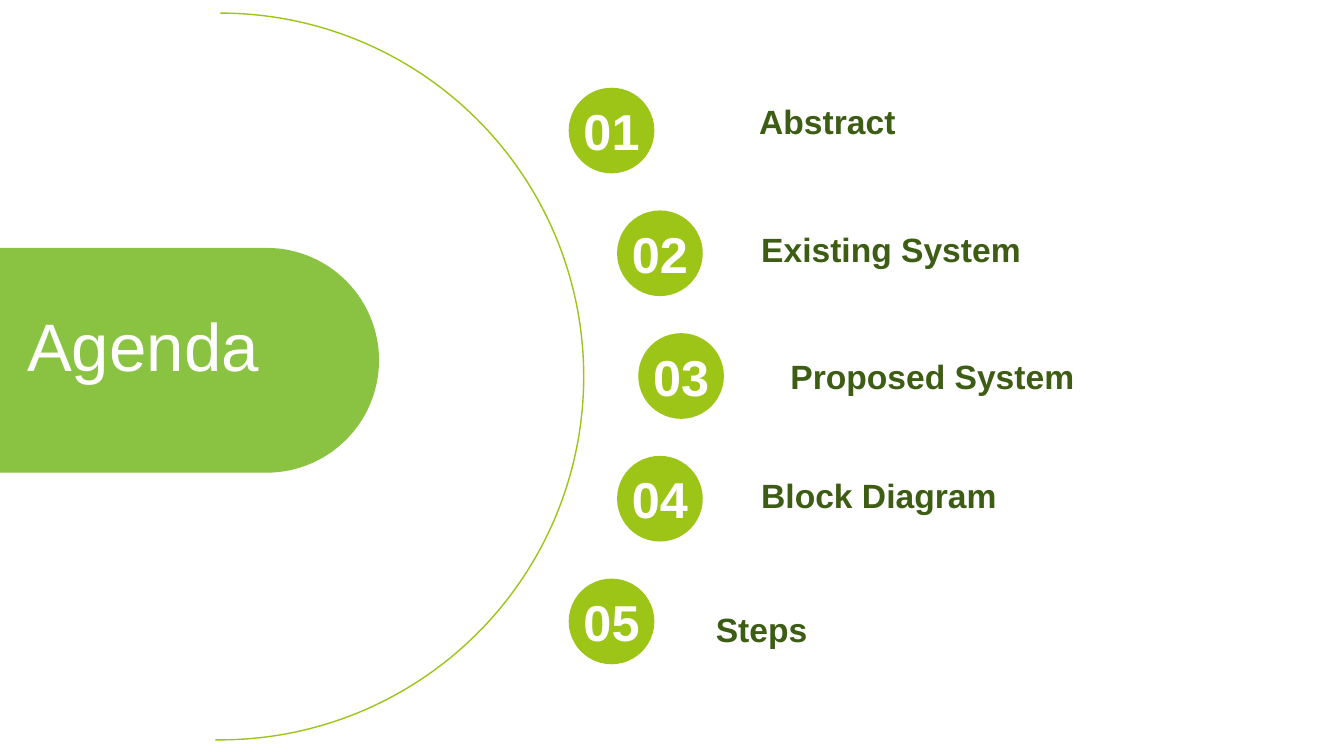
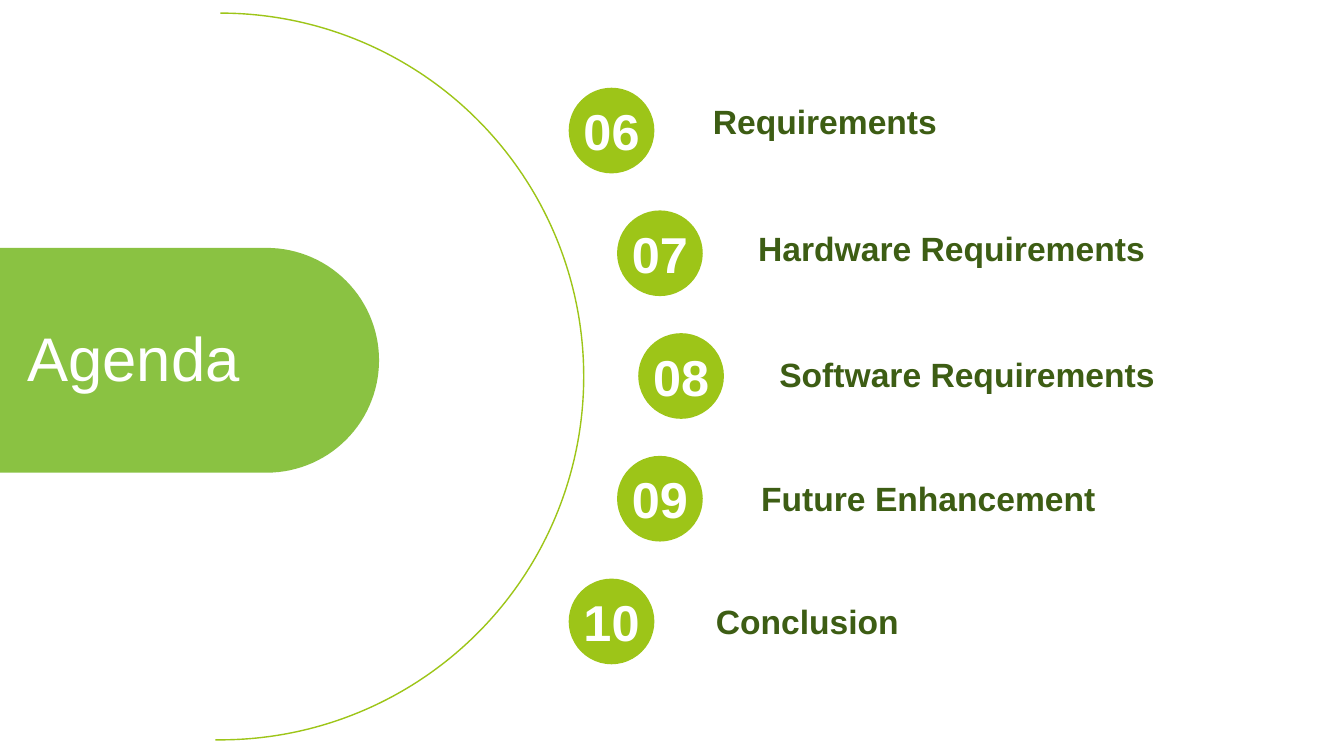
"""Build two agenda slides: numbered discs that follow an arc."""
from math import cos, pi, sin

from lxml import etree
from pptx import Presentation
from pptx.dml.color import RGBColor
from pptx.enum.shapes import MSO_SHAPE
from pptx.enum.text import MSO_ANCHOR, MSO_AUTO_SIZE, PP_ALIGN
from pptx.oxml.ns import qn
from pptx.util import Inches, Pt

AGENDAS = [
    {
        "title": "Agenda", "title_size": 48, "title_middle": 3.42,
        "entries": [
            ("Abstract", 7.41, 0.95),
            ("Existing System", 7.43, 2.22),
            ("Proposed System", 7.72, 3.48),
            ("Block Diagram", 7.43, 4.66),
            ("Steps", 6.98, 5.99),
        ],
    },
    {
        "title": "Agenda", "title_size": 44, "title_middle": 3.54,
        "entries": [
            ("Requirements", 6.95, 0.95),
            ("Hardware Requirements", 7.4, 2.21),
            ("Software Requirements", 7.61, 3.46),
            ("Future Enhancement", 7.43, 4.69),
            ("Conclusion", 6.98, 5.91),
        ],
    },
]

COLORS = {"disc": "9DC518", "pill": "79BA27", "label": "3D5D14", "white": "FFFFFF"}
FONT = "Arial"
SLIDE_WIDTH, SLIDE_HEIGHT = 13.33, 7.5

DISC_SIZE = 0.85
DISC_LEFTS = (5.64, 6.12, 6.33, 6.12, 5.64)
DISC_TOP, DISC_LAST_TOP = 0.87, 5.74
DISC_STEP = (DISC_LAST_TOP - DISC_TOP) / (len(DISC_LEFTS) - 1)

LABEL_WIDTH, LABEL_HEIGHT = 4.93, 0.5
ARC_LEFT, ARC_TOP, ARC_SIZE = -1.42, 0.13, 7.21
ARC_ANGLES = (162, 54.46)

PILL_TOP, PILL_WIDTH, PILL_HEIGHT = 2.46, 3.76, 2.23
PILL_OPACITY = 87
PILL_ARC_STEPS = 60
TITLE_LEFT, TITLE_WIDTH, TITLE_HEIGHT = 0.17, 3.58, 0.84


def color(name):
    return RGBColor.from_string(COLORS[name])


def place(left, top, width, height):
    return [Inches(length) for length in (left, top, width, height)]


def paint(shape, name):
    shape.shadow.inherit = False
    shape.fill.solid()
    shape.fill.fore_color.rgb = color(name)
    shape.line.fill.background()


def write(frame, text, size, name, align=PP_ALIGN.LEFT, bold=True):
    para = frame.paragraphs[0]
    para.text = text
    para.alignment = align
    para.font.name = FONT
    para.font.size = Pt(size)
    para.font.bold = bold
    para.font.color.rgb = color(name)


def add_arc(slide):
    arc = slide.shapes.add_shape(MSO_SHAPE.ARC, *place(ARC_LEFT, ARC_TOP, ARC_SIZE, ARC_SIZE))
    arc.shadow.inherit = False
    arc.fill.background()
    arc.line.color.rgb = color("disc")
    arc.line.width = Pt(1)
    for index, angle in enumerate(ARC_ANGLES):
        arc.adjustments[index] = angle


def add_pill(slide):
    radius = PILL_HEIGHT / 2
    center_x, center_y = PILL_WIDTH - radius, PILL_TOP + radius
    angles = [pi * step / PILL_ARC_STEPS - pi / 2 for step in range(PILL_ARC_STEPS + 1)]
    points = [(center_x + radius * cos(angle), center_y + radius * sin(angle)) for angle in angles]
    points.append((0, PILL_TOP + PILL_HEIGHT))
    builder = slide.shapes.build_freeform(0, Inches(PILL_TOP))
    builder.add_line_segments([(Inches(x), Inches(y)) for x, y in points], close=True)
    pill = builder.convert_to_shape()
    paint(pill, "pill")
    fill_color = pill.fill._xPr.find(qn("a:solidFill"))[0]
    etree.SubElement(fill_color, qn("a:alpha"), val=str(PILL_OPACITY * 1000))


def add_title(slide, agenda):
    title = slide.shapes.title
    top = agenda["title_middle"] - TITLE_HEIGHT / 2
    title.left, title.top, title.width, title.height = place(
        TITLE_LEFT, top, TITLE_WIDTH, TITLE_HEIGHT)
    title.text_frame.auto_size = MSO_AUTO_SIZE.NONE
    title.text_frame.vertical_anchor = MSO_ANCHOR.MIDDLE
    write(title.text_frame, agenda["title"], agenda["title_size"], "white", bold=False)
    slide.shapes._spTree.append(title._element)


def add_disc(slide, row, number):
    top = DISC_TOP + row * DISC_STEP
    disc = slide.shapes.add_shape(
        MSO_SHAPE.OVAL, *place(DISC_LEFTS[row], top, DISC_SIZE, DISC_SIZE))
    paint(disc, "disc")
    frame = disc.text_frame
    frame.word_wrap = False
    frame.vertical_anchor = MSO_ANCHOR.MIDDLE
    frame.margin_left = frame.margin_right = frame.margin_top = frame.margin_bottom = 0
    write(frame, f"{number:02d}", 36, "white", PP_ALIGN.CENTER)


def add_label(slide, text, left, top):
    box = slide.shapes.add_textbox(*place(left, top, LABEL_WIDTH, LABEL_HEIGHT))
    frame = box.text_frame
    frame.word_wrap = True
    frame.auto_size = MSO_AUTO_SIZE.SHAPE_TO_FIT_TEXT
    frame.margin_left = frame.margin_right = Inches(0.12)
    write(frame, text, 24, "label")


def main():
    deck = Presentation()
    deck.slide_width, deck.slide_height = Inches(SLIDE_WIDTH), Inches(SLIDE_HEIGHT)
    title_only = deck.slide_layouts[5]
    number = 0
    for agenda in AGENDAS:
        slide = deck.slides.add_slide(title_only)
        add_arc(slide)
        add_pill(slide)
        add_title(slide, agenda)
        for row, (text, left, top) in enumerate(agenda["entries"]):
            number += 1
            add_disc(slide, row, number)
            add_label(slide, text, left, top)
    deck.save("out.pptx")


if __name__ == "__main__":
    main()
